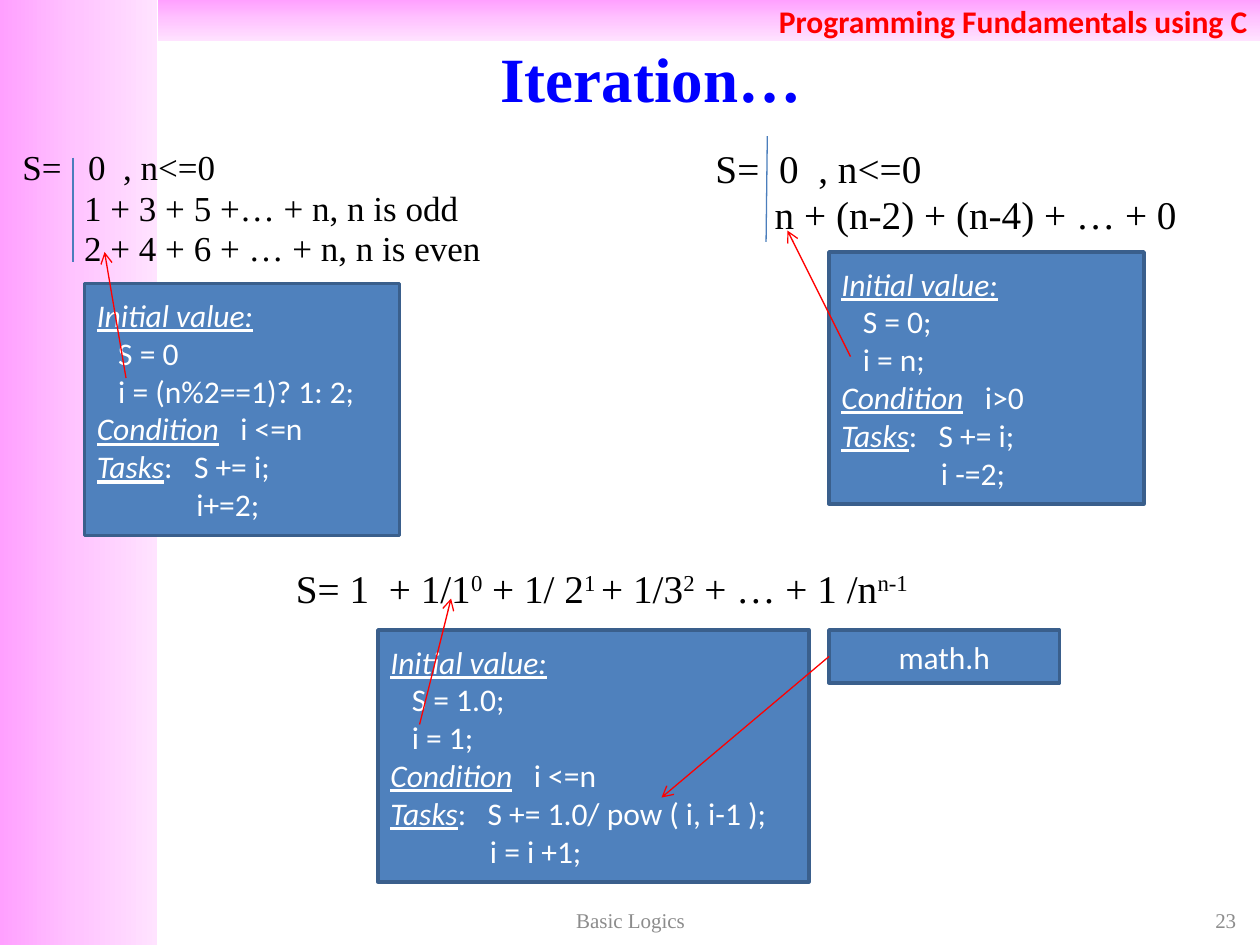
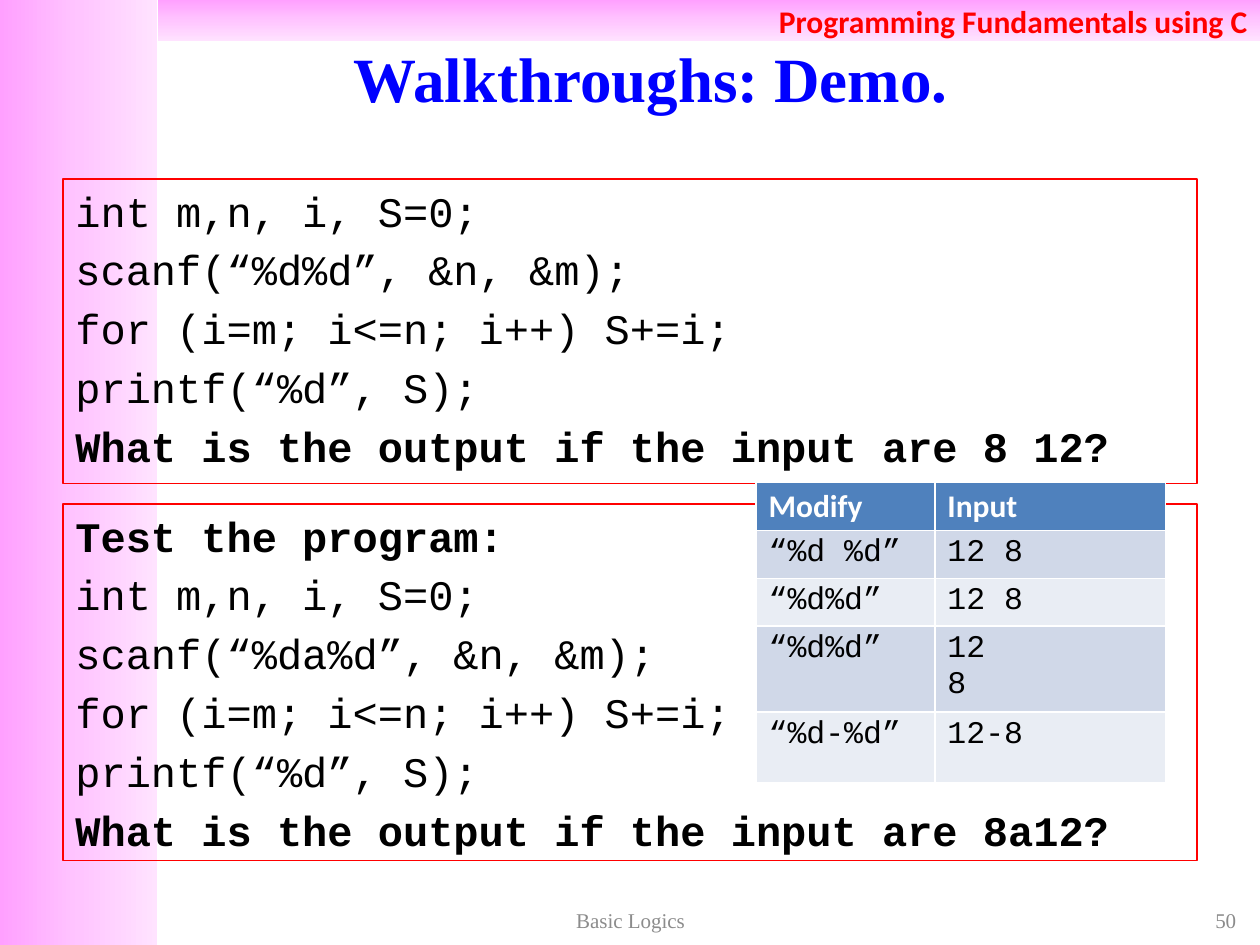
"""Builds two lecture slides on iteration and program walkthroughs in C."""
import copy

import pptx
import pptx.dml.color
import pptx.enum.shapes
import pptx.enum.text
import pptx.oxml.ns
import pptx.util

Inches = pptx.util.Inches
Pt = pptx.util.Pt
ALIGN = pptx.enum.text.PP_ALIGN
ANCHOR = pptx.enum.text.MSO_ANCHOR
RECTANGLE = pptx.enum.shapes.MSO_SHAPE.RECTANGLE
STRAIGHT = pptx.enum.shapes.MSO_CONNECTOR.STRAIGHT
qn = pptx.oxml.ns.qn

COLORS = {
    "band": ["FFA0FF", "FFC5FF", "FFE3FF"],
    "title": "0000FF", "accent": "FF0000", "ink": "000000", "white": "FFFFFF",
    "footer": "8C8C8C", "box": "4F81BD", "box_edge": "3A5F8C", "bar": "4B7EBC",
    "row_odd": "D0D8E8", "row_even": "E9EDF4",
}
SERIF, SANS, MONO = "Times New Roman", "Calibri", "Courier New"
SPACE_WIDTH = {SERIF: 0.25, SANS: 0.226, MONO: 0.6}

COURSE = "Programming Fundamentals using C"
CHAPTER = "Basic Logics"

FORMULAS = [
    {"at": (0.08, 1.17, 4.08, 1.08), "size": 20, "lines": [
        (0, [("S=", ""), (" ", "3"), ("0", ""), (" ", "2"), (", n<=0", "")]),
        (0.49, [("1 + 3 + 5 +… + n, n is odd", "")]),
        (0.49, [("2 + 4 + 6 + … + n, n is even", "")])]},
    {"at": (2.25, 4.5, 5.5, 0.42), "size": 22.4, "lines": [
        (0, [("S= 1", ""), (" ", "2"), ("+ 1/1", ""), ("0", "^"), (" + 1/ 2", ""),
             ("1 ", "^"), ("+ 1/3", ""), ("2", "^"), (" + … + 1 /n", ""), ("n-1", "^")])]},
    {"at": (5.58, 1.17, 4.08, 1.08), "size": 22.4, "lines": [
        (0, [("S=", ""), (" ", "2"), ("0", ""), (" ", "2"), (", n<=0", "")]),
        (0.47, [("n + (n-2) + (n-4) + … + 0", "")])]},
]
ALGORITHMS = [
    ((0.67, 2.25, 2.5, 2), ["S = 0", "i = (n%2==1)? 1: 2;"], "i <=n", ["S += i;", "i+=2;"]),
    ((6.58, 2, 2.5, 2), ["S = 0;", "i = n;"], "i>0", ["S += i;", "i -=2;"]),
    ((3, 5, 3.42, 2), ["S = 1.0;", "i = 1;"], "i <=n",
     ["S += 1.0/ pow ( i, i-1 );", "i = i +1;"]),
]
HEADER_FILE = ((6.58, 5, 1.83, 0.42), "math.h")
BARS = [((0.58, 1.25), (0.58, 2.08)), ((6.09, 1.08), (6.08, 1.92))]
ARROWS = [((3.33, 5.75), (3.58, 4.75)), ((6.75, 2.83), (6.25, 1.83)),
          ((1, 3), (0.83, 2)), ((6.58, 5.21), (5.25, 6.33))]

PROGRAMS = [
    ((0.5, 1.42, 9, 2.42), None, "%d%d", "8 12"),
    ((0.5, 4, 9, 2.83), "Test the program:", "%da%d", "8a12"),
]
INPUT_TESTS = [("Modify", "Input"), ("“%d %d”", "12 8"), ("“%d%d”", "12 8"),
               ("“%d%d”", "12\n8"), ("“%d-%d”", "12-8")]
TEST_COLUMNS = [1.42, 1.83]
TEST_ROWS = [0.36, 0.36, 0.36, 0.62, 0.56]

prs = pptx.Presentation()
prs.slide_width, prs.slide_height = Inches(10), Inches(7.5)


def rgb(value):
    return pptx.dml.color.RGBColor.from_string(value)


def inches(values):
    return [Inches(value) for value in values]


def write(frame, lines, font, size, color, align=ALIGN.LEFT, anchor=ANCHOR.TOP,
          leading=None, before=0):
    """Fill a frame; styles are b, i, u, ^ or a number that widens a space so many times."""
    frame.word_wrap = True
    frame.vertical_anchor = anchor
    for number, (indent, runs) in enumerate(lines):
        paragraph = frame.add_paragraph() if number else frame.paragraphs[0]
        paragraph.alignment = align
        paragraph.space_before = Pt(before)
        if leading:
            paragraph.line_spacing = leading
        properties = paragraph._p.get_or_add_pPr()
        properties.set("marL", str(Inches(indent)))
        properties.set("indent", "0")
        for text, style in runs:
            run = paragraph.add_run()
            run.text = text
            run.font.name, run.font.size = font, Pt(size)
            run.font.color.rgb = rgb(color)
            run.font.bold, run.font.italic = "b" in style, "i" in style
            run.font.underline = "u" in style
            if "^" in style:
                run._r.get_or_add_rPr().set("baseline", "30000")
            if style.isdigit():
                extra = (int(style) - 1) * SPACE_WIDTH[font] * size
                run._r.get_or_add_rPr().set("spc", str(round(extra * 100)))


def add_box(slide, at, fill=None, edge=None, width=0.75):
    box = slide.shapes.add_shape(RECTANGLE, *inches(at))
    box.shadow.inherit = False
    if fill:
        box.fill.solid()
        box.fill.fore_color.rgb = rgb(fill)
    else:
        box.fill.background()
    if edge:
        box.line.color.rgb = rgb(edge)
        box.line.width = Pt(width)
    else:
        box.line.fill.background()
    return box


def add_band(slide, at, angle):
    band = add_box(slide, at)
    band.fill.gradient()
    stops = band.element.spPr.find(".//" + qn("a:gsLst"))
    stops.insert(1, copy.deepcopy(stops[0]))
    for stop, position, color in zip(band.fill.gradient_stops, (0, 0.5, 1), COLORS["band"]):
        stop.position = position
        stop.color.rgb = rgb(color)
    band.fill.gradient_angle = angle
    return band


def add_line(slide, start, end, color, arrow=False):
    line = slide.shapes.add_connector(STRAIGHT, *inches(start + end))
    line.line.color.rgb = rgb(color)
    line.line.width = Pt(0.75)
    properties = line.element.spPr
    if arrow:
        outline = properties.find(qn("a:ln"))
        outline.append(outline.makeelement(qn("a:tailEnd"), {"type": "arrow"}))
    properties.append(properties.makeelement(qn("a:effectLst"), {}))


def add_slide(heading, number):
    slide = prs.slides.add_slide(prs.slide_layouts[5])
    add_band(slide, (0, 0, 1.25, 7.5), 0)
    top_band = add_band(slide, (1.25, 0, 8.75, 0.33), 270)
    write(top_band.text_frame, [(0, [(COURSE, "b")])], SANS, 18, COLORS["accent"],
          ALIGN.RIGHT, ANCHOR.MIDDLE)
    title = slide.shapes.title
    title.left, title.top, title.width, title.height = inches((0.83, 0.3, 8.67, 0.62))
    write(title.text_frame, [(0, [(heading, "b")])], SERIF, 36, COLORS["title"],
          ALIGN.CENTER, ANCHOR.MIDDLE)
    for at, text, align in [((7.58, 7.17, 2.33, 0.27), str(number), ALIGN.RIGHT),
                            ((3.42, 7.17, 3.17, 0.27), CHAPTER, ALIGN.CENTER)]:
        footer = slide.shapes.add_textbox(*inches(at))
        write(footer.text_frame, [(0, [(text, "")])], SERIF, 12, COLORS["footer"],
              align, ANCHOR.MIDDLE)
    return slide


def add_algorithm(slide, at, initial, condition, tasks):
    lines = [(0, [("Initial value:", "iu")])]
    lines += [(0.17, [(statement, "")]) for statement in initial]
    lines += [(0, [("Condition", "iu"), (" ", "3"), (condition, "")]),
              (0, [("Tasks", "iu"), (":", ""), (" ", "3"), (tasks[0], "")]),
              (0.79, [(tasks[1], "")])]
    box = add_box(slide, at, COLORS["box"], COLORS["box_edge"], 2)
    write(box.text_frame, lines, SANS, 18, COLORS["white"], anchor=ANCHOR.MIDDLE)


def add_program(slide, at, lead, scan_format, values):
    code = ["int m,n, i, S=0;", f"scanf(“{scan_format}”, &n, &m);",
            "for (i=m; i<=n; i++) S+=i;", "printf(“%d”, S);"]
    lines = [(0, [(lead, "b")])] if lead else []
    lines += [(0, [(statement, "")]) for statement in code]
    lines.append((0, [(f"What is the output if the input are {values}?", "b")]))
    box = add_box(slide, at, edge=COLORS["accent"])
    write(box.text_frame, lines, MONO, 24, COLORS["ink"], before=4.8)


def add_input_tests(slide):
    at = (6, 3.83, sum(TEST_COLUMNS), sum(TEST_ROWS))
    table = slide.shapes.add_table(len(TEST_ROWS), len(TEST_COLUMNS), *inches(at)).table
    for column, width in zip(table.columns, TEST_COLUMNS):
        column.width = Inches(width)
    for index, (row, height) in enumerate(zip(table.rows, TEST_ROWS)):
        row.height = Inches(height)
        if index == 0:
            fill, font, color, style = COLORS["box"], SANS, COLORS["white"], "b"
        else:
            fill = COLORS["row_odd" if index % 2 else "row_even"]
            font, color, style = MONO, COLORS["ink"], ""
        for cell, text in zip(row.cells, INPUT_TESTS[index]):
            cell.fill.solid()
            cell.fill.fore_color.rgb = rgb(fill)
            cell.margin_top = cell.margin_bottom = Inches(0.04)
            write(cell.text_frame, [(0, [(part, style)]) for part in text.split("\n")],
                  font, 18, color)


iteration = add_slide("Iteration…", 23)
for formula in FORMULAS:
    formula_text = iteration.shapes.add_textbox(*inches(formula["at"])).text_frame
    write(formula_text, formula["lines"], SERIF, formula["size"], COLORS["ink"],
          leading=0.8, before=round(0.2 * formula["size"], 1))
for algorithm in ALGORITHMS:
    add_algorithm(iteration, *algorithm)
header_at, header_name = HEADER_FILE
header_box = add_box(iteration, header_at, COLORS["box"], COLORS["box_edge"], 2)
write(header_box.text_frame, [(0, [(header_name, "")])], SANS, 18, COLORS["white"],
      ALIGN.CENTER, ANCHOR.MIDDLE)
for start, end in BARS:
    add_line(iteration, start, end, COLORS["bar"])
for start, end in ARROWS:
    add_line(iteration, start, end, COLORS["accent"], arrow=True)

walkthrough = add_slide("Walkthroughs: Demo.", 50)
for program in PROGRAMS:
    add_program(walkthrough, *program)
add_input_tests(walkthrough)

prs.save("out.pptx")
